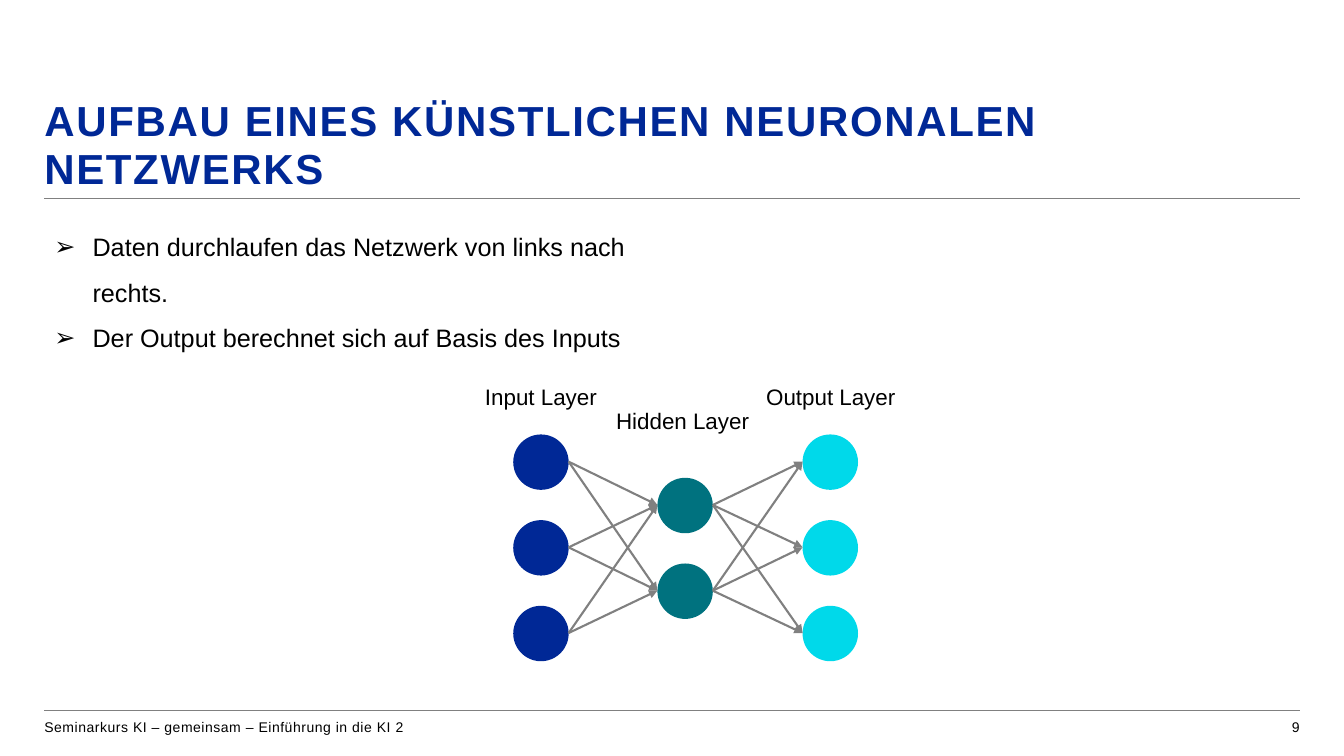
import itertools

import pptx
import pptx.dml.color
import pptx.enum.shapes
import pptx.enum.text
import pptx.oxml.ns
import pptx.util
from lxml import etree

PX = 9144  # EMU, 100 px to the inch
NAVY, TEAL, CYAN, GREY, BLACK = "002896", "00727F", "00D9EA", "808080", "000000"
ALIGN = pptx.enum.text.PP_ALIGN
ANCHOR = pptx.enum.text.MSO_ANCHOR


def px(length):
    return pptx.util.Emu(length * PX)


def color(value):
    return pptx.dml.color.RGBColor.from_string(value)


def add_xml(parent, tag, **attributes):
    return etree.SubElement(parent, pptx.oxml.ns.qn(tag), **attributes)


def add_text(page, box, *lines, size=16, fill=BLACK, bold=False, align=ALIGN.LEFT,
             anchor=ANCHOR.TOP, inset=(0, 0), line_spacing=None, tracking=0,
             bullet=None, indent=0):
    frame = page.shapes.add_textbox(*map(px, box)).text_frame
    frame.word_wrap = True
    frame.vertical_anchor = anchor
    frame.margin_left = frame.margin_right = px(inset[0])
    frame.margin_top = frame.margin_bottom = px(inset[1])
    for index, line in enumerate(lines):
        para = frame.add_paragraph() if index else frame.paragraphs[0]
        para.alignment = align
        if line_spacing:
            para.line_spacing = line_spacing
        if bullet:
            properties = para._p.get_or_add_pPr()
            properties.set("marL", str(px(indent)))
            properties.set("indent", str(-px(indent)))
            add_xml(properties, "a:buFont", typeface="Arial")
            add_xml(properties, "a:buChar", char=bullet)
        span = para.add_run()
        span.text = line
        span.font.name = "Arial"
        span.font.size = pptx.util.Pt(size)
        span.font.bold = bold
        span.font.color.rgb = color(fill)
        if tracking:
            span._r.get_or_add_rPr().set("spc", str(tracking))


def add_line(page, start, end, width=0.5, arrow=False):
    line = page.shapes.add_connector(
        pptx.enum.shapes.MSO_CONNECTOR.STRAIGHT, *map(px, start + end))
    line.line.color.rgb = color(GREY)
    line.line.width = pptx.util.Pt(width)
    if arrow:
        add_xml(line.line._get_or_add_ln(), "a:tailEnd", type="triangle")
    add_xml(line._element.spPr, "a:effectLst")


def add_header(page, left, top, width, height):
    add_text(page, (left, top, width, height - 5),
             "AUFBAU EINES KÜNSTLICHEN NEURONALEN NETZWERKS", size=30, fill=NAVY,
             bold=True, anchor=ANCHOR.BOTTOM, line_spacing=0.94, tracking=120)
    add_line(page, (left, top + height), (left + width, top + height))


def add_body(page, left, top, width, height):
    add_text(page, (left, top, width, height),
             "Daten durchlaufen das Netzwerk von links nach rechts.",
             "Der Output berechnet sich auf Basis des Inputs",
             size=18, inset=(10, 5), line_spacing=1.5, bullet="➢", indent=38)


def add_network(page, left, top, height):
    node, pitch = 55, 85
    middle = top + height - node // 2 - pitch
    # Name, label offset and width, node offset, node count, fill
    layers = [
        ("Input Layer", (0, 0, 141), 43, 3, NAVY),
        ("Hidden Layer", (125, 24, 172), 186, 2, TEAL),
        ("Output Layer", (272, 0, 172), 330, 3, CYAN),
    ]
    columns = []
    for name, (label_x, label_y, label_width), offset, count, fill in layers:
        # Nodes, centred on the middle row
        first = middle - (count - 1) * pitch // 2
        column = [(left + offset, first + row * pitch) for row in range(count)]
        columns.append(column)
        for x, y in column:
            circle = page.shapes.add_shape(
                pptx.enum.shapes.MSO_SHAPE.OVAL,
                *map(px, (x, y - node // 2, node, node)))
            circle.shadow.inherit = False
            circle.fill.solid()
            circle.fill.fore_color.rgb = color(fill)
            circle.line.fill.background()
        add_text(page, (left + label_x, top + label_y, label_width, 37), name,
                 align=ALIGN.CENTER, inset=(10, 5))
    # Every node feeds every node of the next layer
    for sources, targets in itertools.pairwise(columns):
        for (x, y), target in itertools.product(sources, targets):
            add_line(page, (x + node, y), target, width=1.5, arrow=True)


def add_footer(page, left, top, width, height):
    add_line(page, (left, top), (left + width, top))
    text_top, number_width = top + 8, 208
    add_text(page, (left, text_top, 807, height - 8),
             "Seminarkurs KI – gemeinsam – Einführung in die KI 2",
             size=10, tracking=40)
    add_text(page, (left + width - number_width, text_top, number_width, height - 8),
             "9", size=10, align=ALIGN.RIGHT)


def main():
    deck = pptx.Presentation()
    deck.slide_width, deck.slide_height = px(1333), px(750)
    page = deck.slides.add_slide(deck.slide_layouts[6])
    add_header(page, 44, 98, 1245, 99)
    add_body(page, 44, 210, 647, 186)
    add_network(page, 466, 375, 280)
    add_footer(page, 44, 705, 1245, 32)
    deck.save("out.pptx")


if __name__ == "__main__":
    main()
